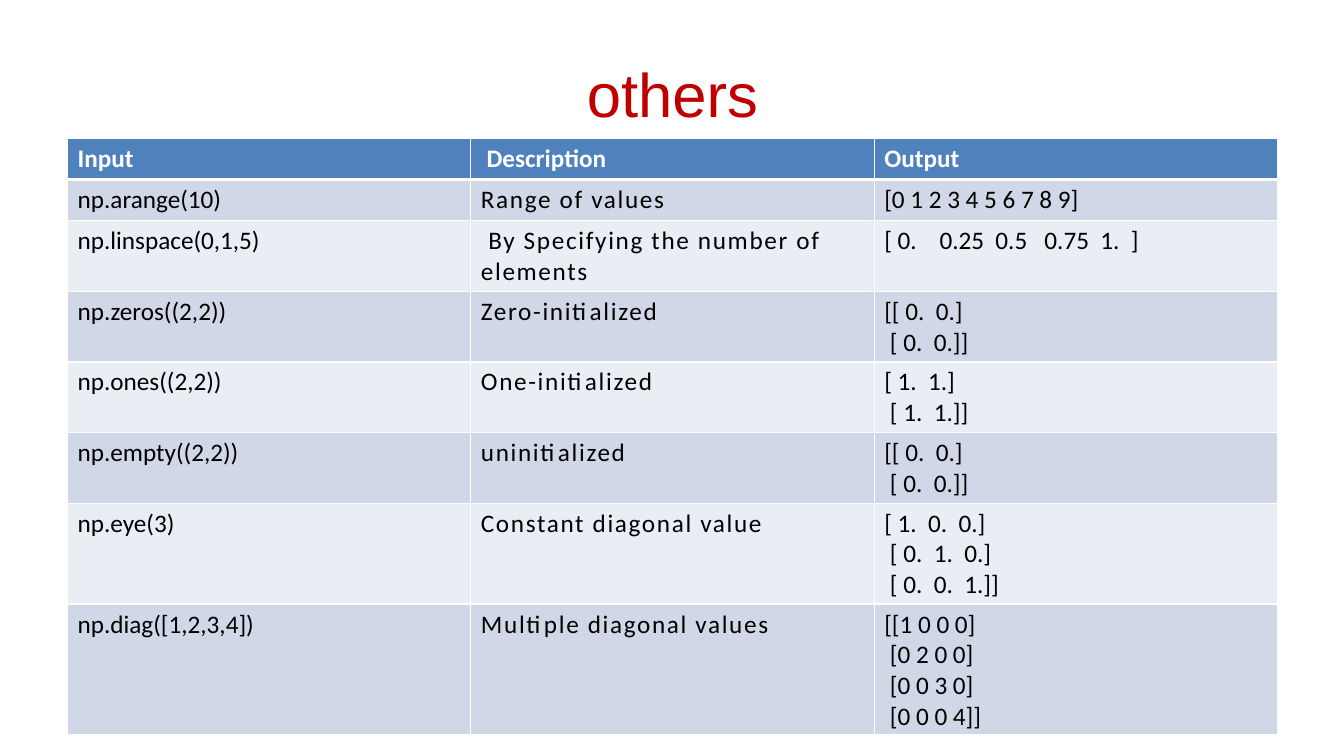
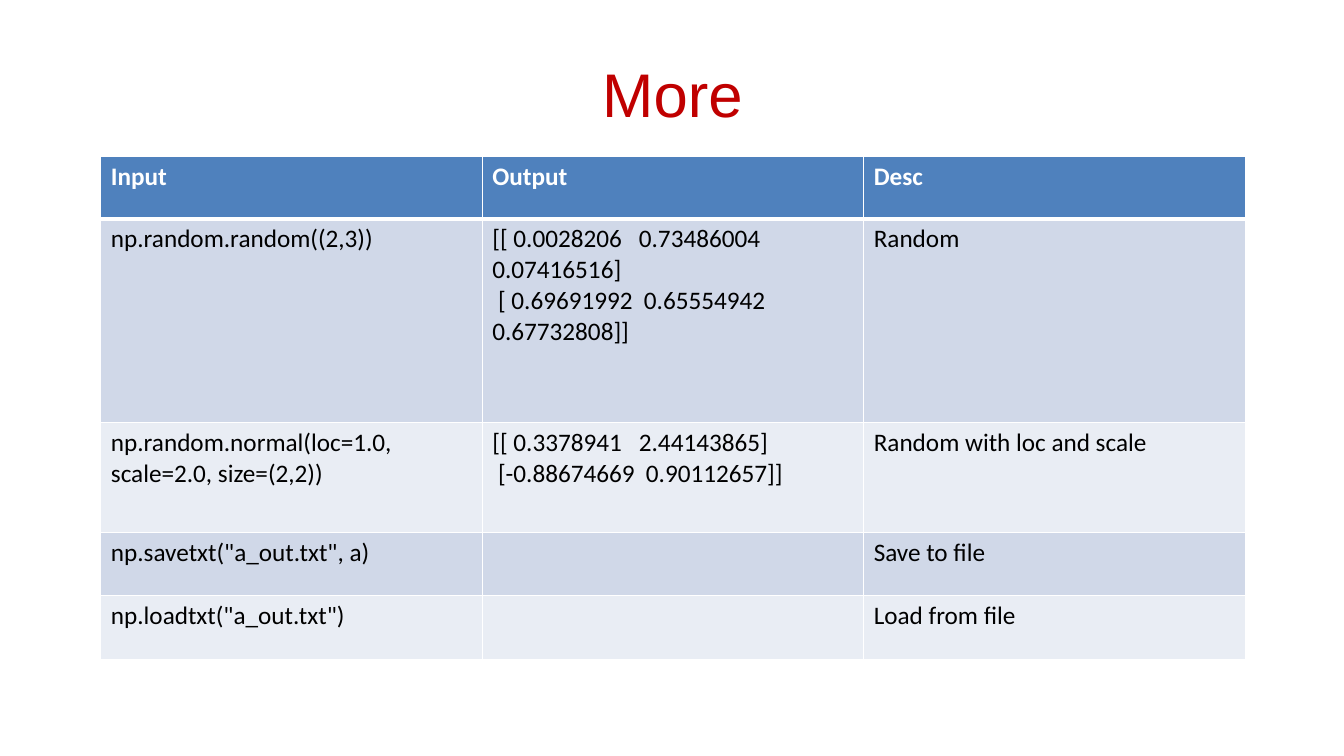
from pptx import Presentation
from pptx.dml.color import RGBColor
from pptx.enum.text import MSO_ANCHOR, PP_ALIGN
from pptx.oxml import parse_xml
from pptx.oxml.ns import nsdecls
from pptx.util import Inches, Pt

# Shared style
TITLE_FONT, BODY_FONT = "Arial", "Calibri"
TITLE_RED, HEADER_BLUE = "C00000", "4F81BD"
BAND_DARK, BAND_LIGHT = "D0D8E8", "E9EDF4"
WHITE, BLACK = "FFFFFF", "000000"

# Table contents: a line break starts a new paragraph
CREATION_ROWS = [
    ("Input", " Description", "Output"),
    ("np.arange(10)", "Range of values", "[0 1 2 3 4 5 6 7 8 9]"),
    ("np.linspace(0,1,5)", " By Specifying the number of elements",
     "[ 0.    0.25  0.5   0.75  1.  ]"),
    ("np.zeros((2,2))", "Zero-initialized", "[[ 0.  0.]\n [ 0.  0.]]"),
    ("np.ones((2,2))", "One-initialized", "[ 1.  1.]\n [ 1.  1.]]"),
    ("np.empty((2,2))", "uninitialized", "[[ 0.  0.]\n [ 0.  0.]]"),
    ("np.eye(3)", "Constant diagonal value",
     "[ 1.  0.  0.]\n [ 0.  1.  0.]\n [ 0.  0.  1.]]"),
    ("np.diag([1,2,3,4])", "Multiple diagonal values",
     "[[1 0 0 0]\n [0 2 0 0]\n [0 0 3 0]\n [0 0 0 4]]"),
]
RANDOM_ROWS = [
    ("Input", "Output", "Desc"),
    ("np.random.random((2,3))",
     "[[ 0.0028206   0.73486004  0.07416516]\n"
     " [ 0.69691992  0.65554942  0.67732808]]", "Random"),
    ("np.random.normal(loc=1.0, scale=2.0, size=(2,2))",
     "[[ 0.3378941   2.44143865]\n [-0.88674669  0.90112657]]",
     "Random with loc and scale"),
    ('np.savetxt("a_out.txt", a)', "", "Save to file"),
    ('np.loadtxt("a_out.txt")', "", "Load from file"),
]


def color(hex_string):
    return RGBColor.from_string(hex_string)


def add_run(paragraph, text, font_name, size, hex_color, bold=False, spacing=0):
    run = paragraph.add_run()
    run.text = text
    run.font.name = font_name
    run.font.size = Pt(size)
    run.font.bold = bold
    run.font.color.rgb = color(hex_color)
    if spacing:
        # Letter spacing is stored in hundredths of a point
        run.font._element.set("spc", str(round(spacing * 100)))


def add_title(slide, text):
    shape = slide.shapes.add_textbox(
        Inches(0.67), Inches(0.3), Inches(12), Inches(1.25))
    frame = shape.text_frame
    frame.word_wrap = True
    frame.vertical_anchor = MSO_ANCHOR.MIDDLE
    paragraph = frame.paragraphs[0]
    paragraph.alignment = PP_ALIGN.CENTER
    add_run(paragraph, text, TITLE_FONT, 44, TITLE_RED)


def set_borders(cell, bottom_width):
    properties = cell._tc.get_or_add_tcPr()
    for side, width in (("L", 1), ("R", 1), ("T", 1), ("B", bottom_width)):
        properties.append(parse_xml(
            f'<a:ln{side} {nsdecls("a")} w="{Pt(width)}"><a:solidFill>'
            f'<a:srgbClr val="{WHITE}"/></a:solidFill></a:ln{side}>'))


def fill_cell(cell, text, is_header, band, spacing):
    # Borders come before the fill in the cell properties
    set_borders(cell, 3 if is_header else 1)
    cell.fill.solid()
    cell.fill.fore_color.rgb = color(HEADER_BLUE if is_header else band)
    if not text:
        return
    frame = cell.text_frame
    for index, line in enumerate(text.split("\n")):
        paragraph = frame.add_paragraph() if index else frame.paragraphs[0]
        add_run(paragraph, line, BODY_FONT, 18,
                WHITE if is_header else BLACK, is_header, spacing)


def add_banded_table(slide, rows, left, top, width, heights, spaced_column=None):
    column_count = len(rows[0])
    table = slide.shapes.add_table(
        len(rows), column_count, Inches(left), Inches(top),
        Inches(width), Inches(sum(heights))).table
    for column in table.columns:
        column.width = Inches(width / column_count)
    for row_index, (texts, height) in enumerate(zip(rows, heights)):
        table.rows[row_index].height = Inches(height)
        is_header = row_index == 0
        band = BAND_DARK if row_index % 2 else BAND_LIGHT
        for column_index, text in enumerate(texts):
            is_spaced = column_index == spaced_column and not is_header
            fill_cell(table.cell(row_index, column_index), text,
                      is_header, band, 1.2 if is_spaced else 0)


def add_table_slide(presentation, title, rows, **table_options):
    slide = presentation.slides.add_slide(presentation.slide_layouts[6])
    add_title(slide, title)
    add_banded_table(slide, rows, **table_options)


def main():
    presentation = Presentation()
    presentation.slide_width = Inches(13.33)
    presentation.slide_height = Inches(7.5)

    # Array creation: rows grow with their text
    add_table_slide(presentation, "others", CREATION_ROWS,
                    left=0.67, top=1.37, width=12,
                    heights=[0.41] * len(CREATION_ROWS), spaced_column=1)
    # Random numbers and files
    add_table_slide(presentation, "More", RANDOM_ROWS,
                    left=1, top=1.55, width=11.35,
                    heights=[0.62, 2.02, 1.09, 0.63, 0.63])

    presentation.save("out.pptx")


if __name__ == "__main__":
    main()
